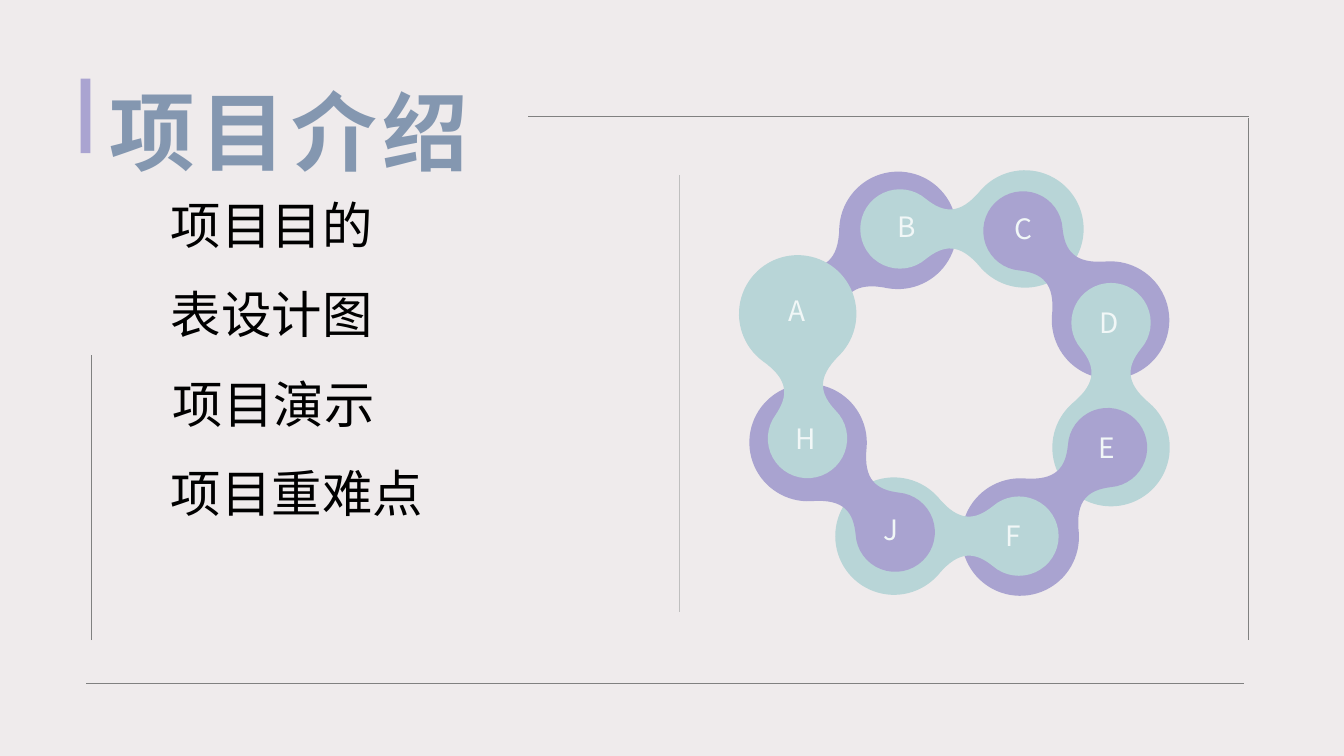
from math import cos, radians, sin, tan

from lxml import etree
from pptx import Presentation
from pptx.dml.color import RGBColor
from pptx.enum.shapes import MSO_CONNECTOR, MSO_SHAPE
from pptx.enum.text import MSO_ANCHOR, MSO_AUTO_SIZE
from pptx.oxml.ns import qn
from pptx.util import Cm, Pt

RECT = MSO_SHAPE.RECTANGLE
STRAIGHT = MSO_CONNECTOR.STRAIGHT
TOP, MIDDLE = MSO_ANCHOR.TOP, MSO_ANCHOR.MIDDLE
GROW, FIXED = MSO_AUTO_SIZE.SHAPE_TO_FIT_TEXT, MSO_AUTO_SIZE.NONE

FONT = "Noto Sans CJK SC"
COLORS = {
    "back": "EFEBEC", "title": "8497B0", "bar": "AAA4D1", "text": "000000",
    "frame": "808080", "split": "BFBFBF", "purple": "A9A3D0",
    "teal": "B8D5D7", "label": "F1F7F7",
}

# Left, width, wording
TOPICS = [(4.06, 5.64, "项目目的"), (4.06, 5.64, "表设计图"),
          (4.11, 5.64, "项目演示"), (4.06, 6.93, "项目重难点")]
TOPIC_TOP, TOPIC_STEP = 4.76, 2.25

# Colour, start and end
LINES = [
    ("split", 17.12, 4.42, 17.12, 15.42),
    ("frame", 13.31, 2.92, 31.47, 2.92),
    ("frame", 31.47, 2.97, 31.47, 16.13),
    ("frame", 31.34, 17.22, 2.16, 17.22),
    ("frame", 2.29, 16.13, 2.29, 8.94),
]

# Centre of the small end, and the angle towards the big end
LINKS = [(20.17, 7.77, -38.6), (22.68, 5.77, 0), (25.78, 5.82, 45.5),
         (28, 8.13, 90), (27.91, 11.28, 134.3), (25.68, 13.51, 180),
         (22.56, 13.41, 225.8), (20.35, 11.05, 265.5)]
SMALL, BIG, SPAN = 1, 1.48, 3.15
NECK = [(1.09, 0.41), (1.5, 0.33), (2.03, 0.97)]

# Letter, left, top, width
LABELS = [("C", 25.32, 5.26, 0.99), ("F", 25.1, 13, 1.04),
          ("E", 27.43, 10.77, 0.99), ("D", 27.46, 7.62, 0.99),
          ("A", 19.61, 7.32, 1.12), ("H", 19.81, 10.54, 1.12),
          ("J", 22.02, 12.85, 1.04), ("B", 22.38, 5.21, 0.66)]


def color(name):
    return RGBColor.from_string(COLORS[name])


def paint(shape, name):
    shape.fill.solid()
    shape.fill.fore_color.rgb = color(name)
    shape.line.fill.background()
    shape.shadow.inherit = False


def add_text(shapes, text, box, size, tint, bold=False, gap=0, wrap=True,
             fit=FIXED, anchor=TOP, inset=0.13):
    """Add a one-line text box; gap is letter spacing in points."""
    frame = shapes.add_textbox(*map(Cm, box)).text_frame
    frame.auto_size = fit
    frame.word_wrap = wrap
    frame.vertical_anchor = anchor
    frame.margin_left = frame.margin_right = Cm(0.25)
    frame.margin_top = frame.margin_bottom = Cm(inset)
    run = frame.paragraphs[0].add_run()
    run.text = text
    font = run.font
    font.size, font.bold, font.name = Pt(size), bold, FONT
    font.color.rgb = color(tint)
    props = run._r.get_or_add_rPr()
    etree.SubElement(props, qn("a:ea")).set("typeface", FONT)
    if gap:
        props.set("spc", str(gap * 100))


def add_line(shapes, tint, *ends):
    line = shapes.add_connector(STRAIGHT, *map(Cm, ends))
    line.line.color.rgb = color(tint)
    line.line.width = Pt(0.5)
    etree.SubElement(line._element.spPr, qn("a:effectLst"))


def arc(mid, radius, start, stop, parts=2):
    """Bezier points, after the first, of an arc centred on the x axis."""
    step = radians(stop - start) / parts
    pull = 4 / 3 * tan(step / 4)
    points = []
    for i in range(parts):
        a = radians(start) + i * step
        b = a + step
        unit = [(cos(a) - pull * sin(a), sin(a) + pull * cos(a)),
                (cos(b) + pull * sin(b), sin(b) - pull * cos(b)),
                (cos(b), sin(b))]
        points += [(mid + radius * x, radius * y) for x, y in unit]
    return points


def outline():
    """Bezier points of two discs joined by a neck, along the x axis."""
    half = [(-SMALL, 0), *arc(0, SMALL, 180, 49), *NECK,
            *arc(SPAN, BIG, 139, 0)]
    return half + [(x, -y) for x, y in half[-2::-1]]


def bend(shape):
    """Turn each three straight segments into one Bezier curve."""
    lines = list(shape._element.spPr.iter(qn("a:lnTo")))
    for i in range(0, len(lines), 3):
        cubic = etree.Element(qn("a:cubicBezTo"))
        lines[i].addprevious(cubic)
        for line in lines[i:i + 3]:
            cubic.append(line[0])
            line.getparent().remove(line)


def add_link(shapes, tint, left, top, angle):
    c, s = cos(radians(angle)), sin(radians(angle))
    points = [(Cm(left + x * c - y * s), Cm(top + x * s + y * c))
              for x, y in outline()]
    pen = shapes.build_freeform(*points[0])
    pen.add_line_segments(points[1:], close=True)
    link = pen.convert_to_shape()
    bend(link)
    paint(link, tint)


def add_ring(slide):
    ring = slide.shapes.add_group_shape().shapes
    for i, link in enumerate(LINKS):
        add_link(ring, ("purple", "teal")[i % 2], *link)
    for letter, left, top, width in LABELS:
        add_text(ring, letter, (left, top, width, 0.99), 20, "label",
                 anchor=MIDDLE, inset=0.25)


def main():
    deck = Presentation()
    deck.slide_width, deck.slide_height = Cm(33.87), Cm(19.05)
    slide = deck.slides.add_slide(deck.slide_layouts[6])
    slide.background.fill.solid()
    slide.background.fill.fore_color.rgb = color("back")
    shapes = slide.shapes

    add_text(shapes, "项目介绍", (2.51, 1.85, 10.21, 2.57), 61.2, "title",
             bold=True, gap=4)
    bar = shapes.add_shape(RECT, Cm(2.03), Cm(1.98), Cm(0.25), Cm(1.88))
    paint(bar, "bar")
    for line in LINES:
        add_line(shapes, *line)
    for i, (left, width, topic) in enumerate(TOPICS):
        box = (left, TOPIC_TOP + i * TOPIC_STEP, width, 1.8)
        add_text(shapes, topic, box, 36, "text", wrap=False, fit=GROW)
    add_ring(slide)
    deck.save("out.pptx")


if __name__ == "__main__":
    main()
